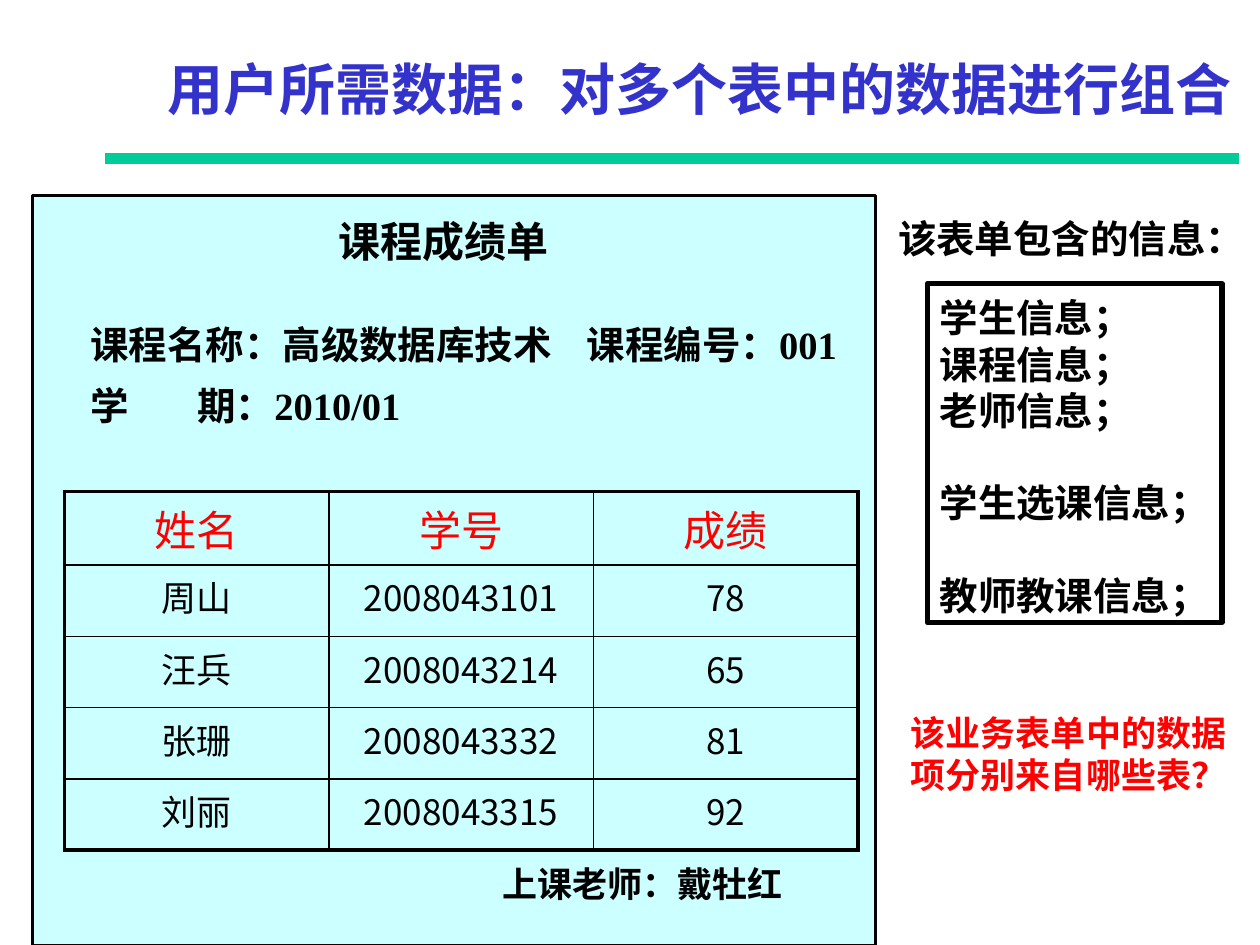
from lxml import etree
from pptx import Presentation
from pptx.dml.color import RGBColor
from pptx.enum.shapes import MSO_CONNECTOR, MSO_SHAPE
from pptx.enum.text import MSO_ANCHOR, PP_ALIGN
from pptx.oxml.ns import qn
from pptx.util import Inches, Pt

LEFT, CENTER = PP_ALIGN.LEFT, PP_ALIGN.CENTER
TOP, MIDDLE = MSO_ANCHOR.TOP, MSO_ANCHOR.MIDDLE
RECTANGLE, STRAIGHT = MSO_SHAPE.RECTANGLE, MSO_CONNECTOR.STRAIGHT
SANS, SERIF = "Noto Sans CJK SC", "Times New Roman"
COLORS = {"ink": "000000", "title": "3333CC", "rule": "00CC99",
          "form": "CCFFFF", "accent": "FF0000"}
WIDTH, HEIGHT = 10, 7.5
LINE_HEIGHT, BASELINE_SHIFT = 1.2, 0.12

RULE = (0.83, 1.26, 9.83)
FORM = (0.26, 1.55, 6.69, 5.95)
INFO_BOX = (7.36, 2.25, 2.34, 2.69)
INFO_SIZE = 22
INFO_ITEMS = [("学生信息；", 0), ("课程信息；", 0), ("老师信息；", 0),
              ("学生选课信息；", 1), ("教师教课信息；", 1)]

TEXTS = [
    dict(area=(1.17, 0.17, 8.77, 1), lines=[("用户所需数据：对多个表中的数据进行组合", 0)],
         size=32, font=SANS, color="title", align=CENTER, anchor=MIDDLE),
    dict(area=(0.62, 2.46, 6.3, 0.98), size=22, font=SERIF, tabs=(0.85, 3.94),
         lines=[("课程名称：高级数据库技术\t课程编号：001", 0), ("学\t期：2010/01", 1 / 3)]),
    dict(area=(3.89, 6.76, 2.6, 0.43), lines=[("上课老师：戴牡红", 0)], size=20, font=SERIF),
    dict(area=(7.03, 1.62, 2.97, 0.47), lines=[("该表单包含的信息：", 0)], size=22, font=SANS),
    dict(area=(2.59, 1.62, 2, 0.5), lines=[("课程成绩单", 0)], size=24, font=SERIF),
    dict(area=(7.13, 5.56, 2.72, 0.77), lines=[("该业务表单中的数据项分别来自哪些表？", 0)],
         size=20, font=SANS, color="accent"),
]

GRADES_AREA = (0.51, 3.9, 6.3, 2.83)
GRADES = [("姓名", "学号", "成绩"),
          ("周山", "2008043101", "78"),
          ("汪兵", "2008043214", "65"),
          ("张珊", "2008043332", "81"),
          ("刘丽", "2008043315", "92")]
OUTER, INNER = 2.25, 1


def rgb(name):
    return RGBColor.from_string(COLORS[name])


def inches(values):
    return [Inches(value) for value in values]


def style(paragraph, size, font, color, bold, align):
    paragraph.alignment = align
    paragraph.font.size = Pt(size)
    paragraph.font.bold = bold
    paragraph.font.color.rgb = rgb(color)
    paragraph.font.name = font
    defaults = paragraph._p.pPr.find(qn("a:defRPr"))
    etree.SubElement(defaults, qn("a:ea"), typeface=SANS)
    return defaults


def write(shape, lines, size, font, color="ink", align=LEFT, anchor=TOP, tabs=()):
    frame = shape.text_frame
    frame.word_wrap = True
    frame.vertical_anchor = anchor
    frame.margin_top = Inches(0.05 + BASELINE_SHIFT * size / 72)
    frame.margin_right = Inches(0.05)
    if align == CENTER:
        frame.margin_right = frame.margin_left
    for index, (text, gap) in enumerate(lines):
        paragraph = frame.add_paragraph() if index else frame.paragraphs[0]
        paragraph.text = text
        paragraph.line_spacing = Pt(size * LINE_HEIGHT)
        paragraph.space_before = Pt(size * LINE_HEIGHT * gap)
        defaults = style(paragraph, size, font, color, True, align)
        if tabs:
            tab_list = etree.Element(qn("a:tabLst"))
            for position in tabs:
                etree.SubElement(tab_list, qn("a:tab"), pos=str(Inches(position)), algn="l")
            defaults.addprevious(tab_list)


def add_rule(slide):
    left, top, right = RULE
    rule = slide.shapes.add_connector(STRAIGHT, *inches((left, top, right, top)))
    rule.line.color.rgb = rgb("rule")
    rule.line.width = Pt(6)
    etree.SubElement(rule._element.spPr, qn("a:effectLst"))


def add_box(slide, area, line_width, fill=None):
    box = slide.shapes.add_shape(RECTANGLE, *inches(area))
    box.shadow.inherit = False
    if fill:
        box.fill.solid()
        box.fill.fore_color.rgb = rgb(fill)
    else:
        box.fill.background()
    box.line.color.rgb = rgb("ink")
    box.line.width = Pt(line_width)
    return box


def set_borders(cell, widths):
    properties = cell._tc.get_or_add_tcPr()
    for index, (side, width) in enumerate(widths.items()):
        border = etree.Element(qn(f"a:ln{side}"), w=str(Pt(width)))
        fill = etree.SubElement(border, qn("a:solidFill"))
        etree.SubElement(fill, qn("a:srgbClr"), val=COLORS["ink"])
        properties.insert(index, border)


def add_grades(slide):
    rows, columns = len(GRADES), len(GRADES[0])
    table = slide.shapes.add_table(rows, columns, *inches(GRADES_AREA)).table
    table.first_row = table.horz_banding = False
    for row, values in enumerate(GRADES):
        size, color = (20, "ink") if row else (24, "accent")
        for column, value in enumerate(values):
            cell = table.cell(row, column)
            cell.text = value
            cell.fill.background()
            style(cell.text_frame.paragraphs[0], size, SANS, color, False, CENTER)
            set_borders(cell, {
                "L": INNER if column else OUTER,
                "R": OUTER if column == columns - 1 else INNER,
                "T": INNER if row else OUTER,
                "B": OUTER if row == rows - 1 else INNER})


def main():
    presentation = Presentation()
    presentation.slide_width, presentation.slide_height = inches((WIDTH, HEIGHT))
    slide = presentation.slides.add_slide(presentation.slide_layouts[6])
    add_rule(slide)
    add_box(slide, FORM, 1.5, "form")
    add_grades(slide)
    write(add_box(slide, INFO_BOX, 3), INFO_ITEMS, INFO_SIZE, SANS)
    for text in TEXTS:
        options = dict(text)
        write(slide.shapes.add_textbox(*inches(options.pop("area"))), **options)
    presentation.save("out.pptx")


if __name__ == "__main__":
    main()
